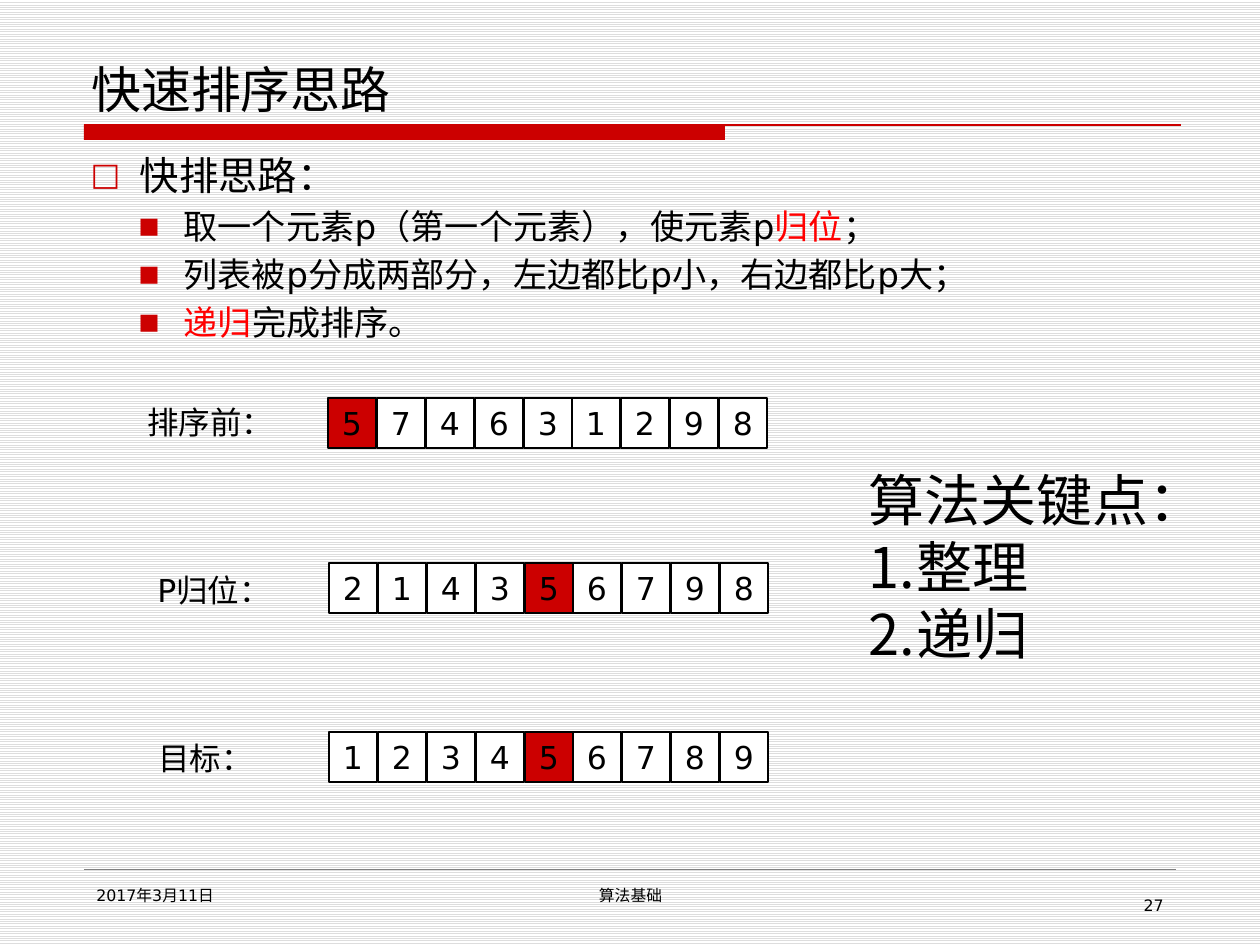
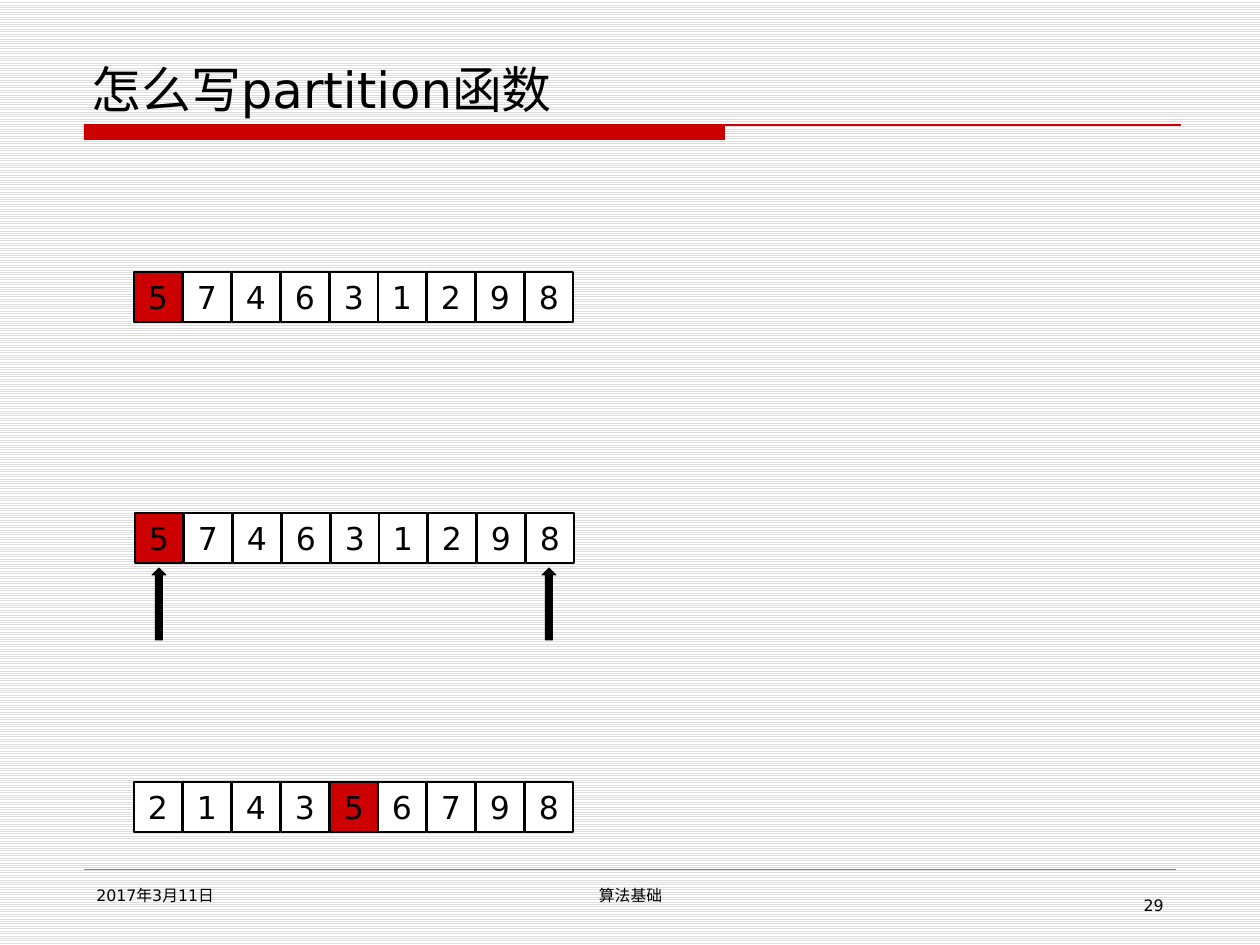
"""Build two slides on the idea of quicksort and its partition step."""
from dataclasses import dataclass

from lxml import etree
from pptx import Presentation
from pptx.dml.color import RGBColor
from pptx.enum.dml import MSO_PATTERN
from pptx.enum.shapes import MSO_CONNECTOR, MSO_SHAPE
from pptx.enum.text import MSO_ANCHOR, MSO_AUTO_SIZE, PP_ALIGN
from pptx.oxml.ns import qn
from pptx.util import Emu, Pt

LEFT, CENTER, RIGHT = PP_ALIGN.LEFT, PP_ALIGN.CENTER, PP_ALIGN.RIGHT
TOP, MIDDLE, BOTTOM = MSO_ANCHOR.TOP, MSO_ANCHOR.MIDDLE, MSO_ANCHOR.BOTTOM
NO_AUTOFIT = MSO_AUTO_SIZE.NONE
RECT, UP_ARROW = MSO_SHAPE.RECTANGLE, MSO_SHAPE.UP_ARROW
STRAIGHT = MSO_CONNECTOR.STRAIGHT
LIGHT_HORIZONTAL = MSO_PATTERN.LIGHT_HORIZONTAL

PX_PER_INCH = 126
FONT = "DejaVu Sans"
COLORS = {
    "black": "000000",
    "white": "FFFFFF",
    "accent": "CC0000",
    "keyword": "FF0000",
    "stripe": "DDDDDD",
    "rule": "808080",
}
CELL_W, CELL_H, LAST_CELL_OFFSET = 48, 50, 391
PIVOT = "5"
TITLE_AND_BODY, TITLE_ONLY = 1, 5


@dataclass
class Label:
    """Text lines in a box, placed in px."""
    x: int
    y: int
    w: int
    h: int
    lines: list[str]
    size: float = 18
    align: PP_ALIGN = LEFT


@dataclass
class NumberRow:
    """A row of array cells, placed in px."""
    x: int
    y: int
    digits: str


@dataclass
class Bullet:
    """The look of one list level."""
    char: str
    size: float
    percent: int
    margin: int
    hanging: int


@dataclass
class Item:
    """A list item made of (text, colour) runs."""
    level: int
    runs: list[tuple[str, str]]


BULLETS = [Bullet("□", 22.5, 80, 49, 49), Bullet("■", 19.5, 65, 93, 45)]
IDEA = [
    Item(0, [("快排思路：", "black")]),
    Item(1, [("取一个元素p（第一个元素），使元素p", "black"),
             ("归位", "keyword"), ("；", "black")]),
    Item(1, [("列表被p分成两部分，左边都比p小，右边都比p大；", "black")]),
    Item(1, [("递归", "keyword"), ("完成排序。", "black")]),
]
FOOTERS = [
    Label(84, 880, 273, 47, ["2017年3月11日"], 9),
    Label(431, 880, 399, 47, ["算法基础"], 9, CENTER),
]
IDEA_ROWS = [
    NumberRow(328, 398, "574631298"),
    NumberRow(329, 563, "214356798"),
    NumberRow(329, 732, "123456789"),
]
IDEA_LABELS = [
    Label(135, 397, 154, 50, ["排序前："]),
    Label(145, 565, 154, 50, ["P归位："]),
    Label(146, 733, 154, 50, ["目标："]),
]
KEY_POINTS = Label(856, 459, 314, 217, ["算法关键点：", "整理", "递归"], 32)
PARTITION_ROWS = [
    NumberRow(134, 272, "574631298"),
    NumberRow(135, 513, "574631298"),
    NumberRow(134, 782, "214356798"),
]
ARROW_XS = [152, 542]


def px(n: float) -> Emu:
    """Turn px into EMU."""
    return Emu(round(n * 914400 / PX_PER_INCH))


def rgb(name: str) -> RGBColor:
    """Look up a colour by name."""
    return RGBColor.from_string(COLORS[name])


def place(sp, x: int, y: int, w: int, h: int) -> None:
    """Move and size a shape."""
    sp.left, sp.top, sp.width, sp.height = px(x), px(y), px(w), px(h)


def style(p, size: float, align: PP_ALIGN = LEFT) -> None:
    """Set the font and alignment of a paragraph."""
    p.alignment = align
    p.font.name, p.font.size = FONT, Pt(size)
    p.font.color.rgb = rgb("black")


def indent(p, margin: int, hanging: int):
    """Give a paragraph a hanging indent and return its properties."""
    pr = p._p.get_or_add_pPr()
    pr.set("marL", str(px(margin)))
    pr.set("indent", str(-px(hanging)))
    return pr


def add_bullet(p, bullet: Bullet) -> None:
    """Add a coloured bullet to a paragraph."""
    pr = indent(p, bullet.margin, bullet.hanging)
    color = etree.SubElement(pr, qn("a:buClr"))
    etree.SubElement(color, qn("a:srgbClr"), val=COLORS["accent"])
    etree.SubElement(pr, qn("a:buSzPct"), val=str(bullet.percent * 1000))
    etree.SubElement(pr, qn("a:buFont"), typeface=FONT)
    etree.SubElement(pr, qn("a:buChar"), char=bullet.char)


def add_label(s, label: Label) -> None:
    """Draw a text box, numbering every line after the first."""
    sp = s.shapes.add_textbox(*map(px, (label.x, label.y, label.w, label.h)))
    tf = sp.text_frame
    tf.word_wrap = True
    tf.text = "\n".join(label.lines)
    for i, p in enumerate(tf.paragraphs):
        p._p.get_or_add_pPr().set("hangingPunct", "1")
        if i:
            pr = indent(p, 48, 48)
            etree.SubElement(pr, qn("a:buFont"), typeface=FONT)
            etree.SubElement(pr, qn("a:buAutoNum"), type="arabicPeriod")
        style(p, label.size, label.align)


def add_box(shapes, kind: MSO_SHAPE, x: int, y: int, w: int, h: int,
            fill: str, line_width: float = 0):
    """Draw a filled preset shape, outlined in black if a width is given."""
    sp = shapes.add_shape(kind, px(x), px(y), px(w), px(h))
    sp.shadow.inherit = False
    sp.fill.solid()
    sp.fill.fore_color.rgb = rgb(fill)
    if line_width:
        sp.line.color.rgb = rgb("black")
        sp.line.width = Pt(line_width)
    else:
        sp.line.fill.background()
    return sp


def add_rule(s, x1: int, x2: int, y: int, color: str, width: float) -> None:
    """Draw a horizontal line."""
    line = s.shapes.add_connector(STRAIGHT, px(x1), px(y), px(x2), px(y))
    line.line.color.rgb = rgb(color)
    line.line.width = Pt(width)
    etree.SubElement(line._element.spPr, qn("a:effectLst"))


def add_row(s, row: NumberRow) -> None:
    """Draw a group of array cells with the pivot marked."""
    group = s.shapes.add_group_shape()
    for i, digit in enumerate(row.digits):
        x = row.x + round(i * LAST_CELL_OFFSET / (len(row.digits) - 1))
        fill = "accent" if digit == PIVOT else "white"
        sp = add_box(group.shapes, RECT, x, row.y, CELL_W, CELL_H, fill, 1)
        tf = sp.text_frame
        tf.margin_left = tf.margin_right = 0
        tf.vertical_anchor = MIDDLE
        tf.text = digit
        style(tf.paragraphs[0], 18, CENTER)


def add_list(s, items: list[Item]) -> None:
    """Fill the body placeholder with bulleted items."""
    sp = s.placeholders[1]
    place(sp, 78, 145, 1103, 684)
    tf = sp.text_frame
    tf.auto_size = NO_AUTOFIT
    tf.vertical_anchor = TOP
    for i, item in enumerate(items):
        p = tf.add_paragraph() if i else tf.paragraphs[0]
        p.level = item.level
        bullet = BULLETS[item.level]
        p.space_before = Pt(bullet.size * 0.2 if i else 0)
        add_bullet(p, bullet)
        style(p, bullet.size)
        for text, color in item.runs:
            r = p.add_run()
            r.text = text
            r.font.color.rgb = rgb(color)


def add_slide(prs, layout: int, title: str, number: int):
    """Add a slide with its title, red band and footers."""
    s = prs.slides.add_slide(prs.slide_layouts[layout])
    add_box(s.shapes, RECT, 84, 125, 641, 15, "accent")
    add_rule(s, 84, 1181, 125, "accent", 0.75)
    add_rule(s, 84, 1176, 869, "rule", 0.25)
    sp = s.shapes.title
    place(sp, 79, 42, 1103, 83)
    tf = sp.text_frame
    tf.auto_size = NO_AUTOFIT
    tf.vertical_anchor = BOTTOM
    tf.text = title
    style(tf.paragraphs[0], 28.5)
    page = Label(903, 890, 273, 37, [str(number)], 9, RIGHT)
    for label in [*FOOTERS, page]:
        add_label(s, label)
    return s


def build_idea(prs) -> None:
    """Build the slide on the idea of quicksort."""
    s = add_slide(prs, TITLE_AND_BODY, "快速排序思路", 27)
    add_list(s, IDEA)
    for row in IDEA_ROWS:
        add_row(s, row)
    for label in [*IDEA_LABELS, KEY_POINTS]:
        add_label(s, label)


def build_partition(prs) -> None:
    """Build the slide on the partition function."""
    s = add_slide(prs, TITLE_ONLY, "怎么写partition函数", 29)
    for row in PARTITION_ROWS:
        add_row(s, row)
    for x in ARROW_XS:
        add_box(s.shapes, UP_ARROW, x, 568, 14, 72, "black", 0.5)


def main() -> None:
    """Build and save the presentation."""
    prs = Presentation()
    prs.slide_width, prs.slide_height = px(1260), px(945)
    fill = prs.slide_master.background.fill
    fill.patterned()
    fill.pattern = LIGHT_HORIZONTAL
    fill.fore_color.rgb = rgb("stripe")
    fill.back_color.rgb = rgb("white")
    build_idea(prs)
    build_partition(prs)
    prs.save("out.pptx")


if __name__ == "__main__":
    main()
